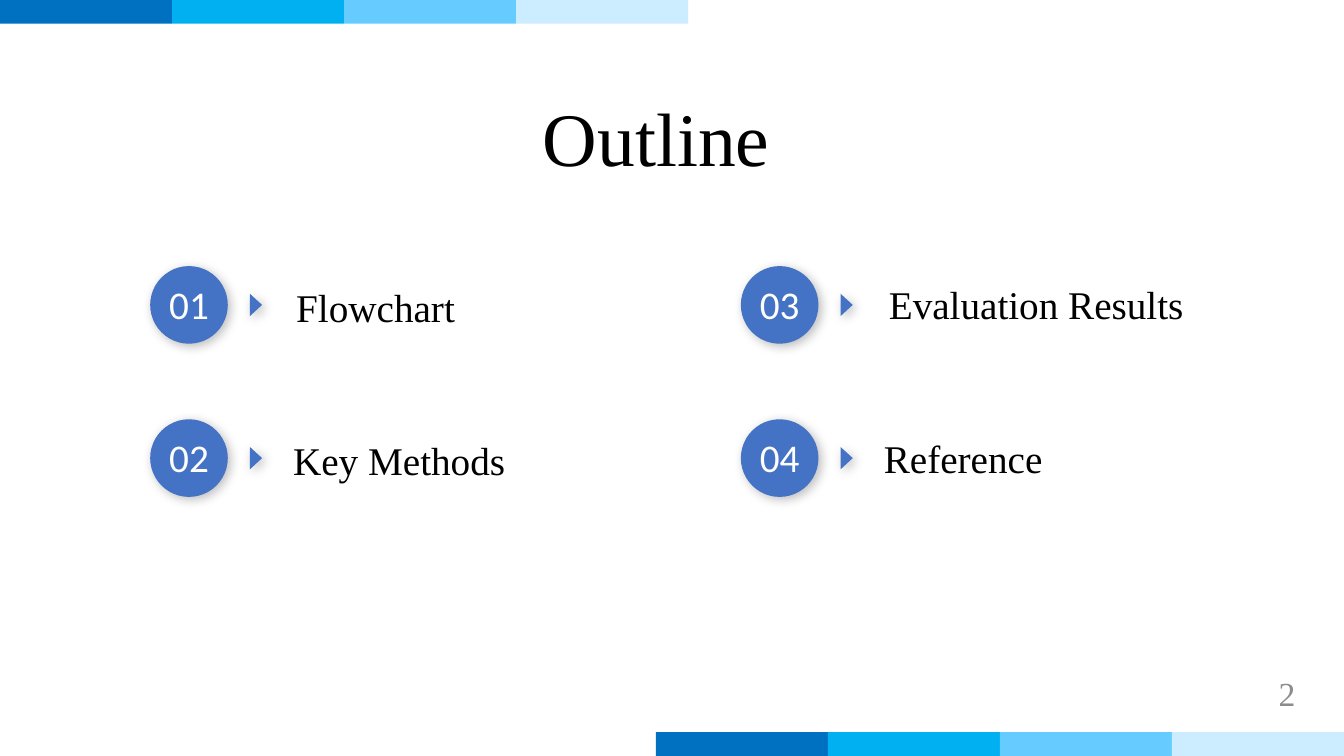
from dataclasses import dataclass

from lxml import etree
from pptx import Presentation
from pptx.dml.color import RGBColor
from pptx.enum import shapes as kinds, text as txt
from pptx.oxml import ns
from pptx.util import Pt


@dataclass(frozen=True)
class Theme:
    bands: tuple = ("0070C0", "00B0F0", "66CCFF", "CCECFF")
    accent: str = "4472C4"
    ink: str = "000000"
    light: str = "FFFFFF"
    muted: str = "8C8C8C"
    serif: str = "Times New Roman"
    sans: str = "Calibri"
    title_size: int = 54
    item_size: int = 28
    page_number_size: int = 24


THEME = Theme()
PAGE_WIDTH, PAGE_HEIGHT = 960, 540
BAND_WIDTH, BAND_HEIGHT = 122.88, 17.0
CIRCLE = 55.44
COLUMNS, ROWS = (107.28, 529.2), (190.08, 299.52)

# Label, then its left and top offset from the circle, and its width
ITEMS = (
    ("Flowchart", 97.2, 8.64, 128.88),
    ("Key Methods", 95.04, 8.64, 167.76),
    ("Evaluation Results", 98.64, 6.48, 226.8),
    ("Reference", 95.04, 7.2, 128.88),
)


def set_text(box, wording, font, size, color, align="LEFT", **frame_format):
    """Write one formatted paragraph into a box or placeholder."""
    frame = box.text_frame
    frame_values = {
        "word_wrap": True,
        "auto_size": txt.MSO_AUTO_SIZE.NONE,
        "vertical_anchor": txt.MSO_ANCHOR.TOP,
        **frame_format,
    }
    for name, value in frame_values.items():
        setattr(frame, name, value)
    para = frame.paragraphs[0]
    para.alignment = getattr(txt.PP_ALIGN, align)
    span = para.add_run()
    span.text = wording
    for name, value in {"name": font, "size": Pt(size)}.items():
        setattr(span.font, name, value)
    span.font.color.rgb = RGBColor.from_string(color)


def add_text(parent, bounds, *content, **options):
    box = parent.shapes.add_textbox(*map(Pt, bounds))
    set_text(box, *content, **options)


def add_filled(parent, kind, bounds, color):
    shape = parent.shapes.add_shape(kind, *map(Pt, bounds))
    shape.shadow.inherit = False
    shape.fill.solid()
    shape.fill.fore_color.rgb = RGBColor.from_string(color)
    shape.line.fill.background()
    return shape


def add_soft_shadow(shape):
    """Cast a blurred shadow to the lower right."""
    effects = shape.element.spPr.find(ns.qn("a:effectLst"))
    shadow = etree.SubElement(
        effects, ns.qn("a:outerShdw"), blurRad=str(Pt(8)), dist=str(Pt(3)),
        dir="2700000", algn="tl", rotWithShape="0",
    )
    color = etree.SubElement(shadow, ns.qn("a:srgbClr"), val=THEME.ink)
    etree.SubElement(color, ns.qn("a:alpha"), val="25000")


def add_color_strip(page, left, top):
    strip = page.shapes.add_group_shape()
    for index, color in enumerate(THEME.bands):
        bounds = (left + index * BAND_WIDTH, top, BAND_WIDTH, BAND_HEIGHT)
        add_filled(strip, kinds.MSO_SHAPE.RECTANGLE, bounds, color)


def add_item(page, number, left, top, label, label_dx, label_dy, label_width):
    """Add a numbered circle, its pointer and its label as a group."""
    group = page.shapes.add_group_shape()
    fitted = {"word_wrap": False, "auto_size": txt.MSO_AUTO_SIZE.SHAPE_TO_FIT_TEXT}
    add_text(group, (left + label_dx, top + label_dy, label_width, 41.04),
             label, THEME.serif, THEME.item_size, THEME.ink, **fitted)
    circle = add_filled(group, kinds.MSO_SHAPE.OVAL,
                        (left, top, CIRCLE, CIRCLE), THEME.accent)
    add_soft_shadow(circle)
    add_text(group, (left + 5.8, top + 7.2, 43.9, 39.6), f"{number:02}",
             THEME.sans, THEME.item_size, THEME.light, align="CENTER",
             margin_left=Pt(5), margin_right=Pt(5),
             margin_top=Pt(2.9), margin_bottom=Pt(2.9), **fitted)
    pointer = add_filled(group, kinds.MSO_SHAPE.ISOSCELES_TRIANGLE,
                         (left + 67.68, top + 23.4, 15.84, 8.64), THEME.accent)
    pointer.rotation = 90
    add_soft_shadow(pointer)


def add_title(page, wording):
    title = page.shapes.title
    bounds = {"left": 289.44, "top": 61.2, "width": 358.56, "height": 72.72}
    for name, value in bounds.items():
        setattr(title, name, Pt(value))
    set_text(title, wording, THEME.serif, THEME.title_size, THEME.ink,
             align="CENTER", auto_size=txt.MSO_AUTO_SIZE.SHAPE_TO_FIT_TEXT)


def main():
    deck = Presentation()
    deck.slide_width, deck.slide_height = Pt(PAGE_WIDTH), Pt(PAGE_HEIGHT)
    page = deck.slides.add_slide(deck.slide_layouts.get_by_name("Title Only"))

    # Colour strips at the top left and bottom right
    add_color_strip(page, 0, 0)
    add_color_strip(page, PAGE_WIDTH - len(THEME.bands) * BAND_WIDTH,
                    PAGE_HEIGHT - BAND_HEIGHT)

    # Title and page number
    add_title(page, "Outline")
    add_text(page, (678.24, 463.68, 254.16, 62.64), "2", THEME.serif,
             THEME.page_number_size, THEME.muted, align="RIGHT",
             vertical_anchor=txt.MSO_ANCHOR.MIDDLE)

    # Outline items, filled column by column
    for index, item in enumerate(ITEMS):
        column, row = divmod(index, len(ROWS))
        add_item(page, index + 1, COLUMNS[column], ROWS[row], *item)

    deck.save("out.pptx")


if __name__ == "__main__":
    main()
